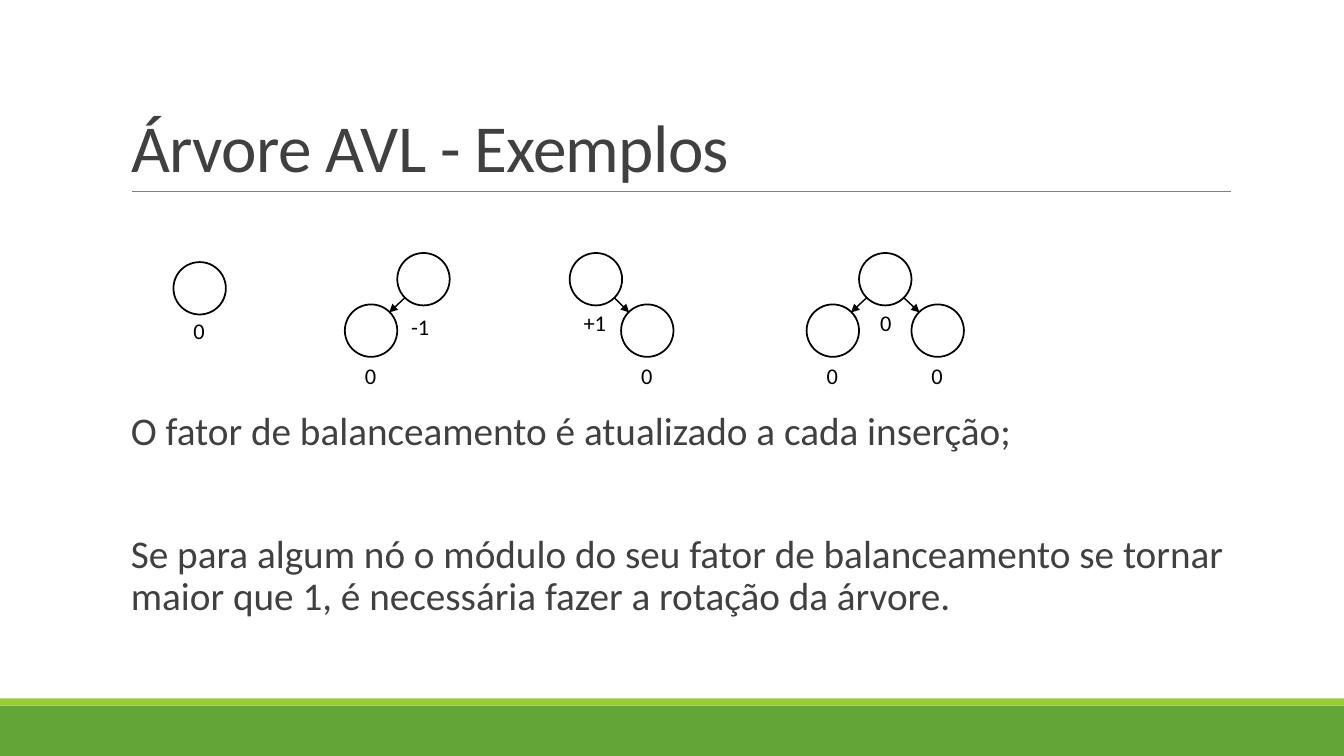
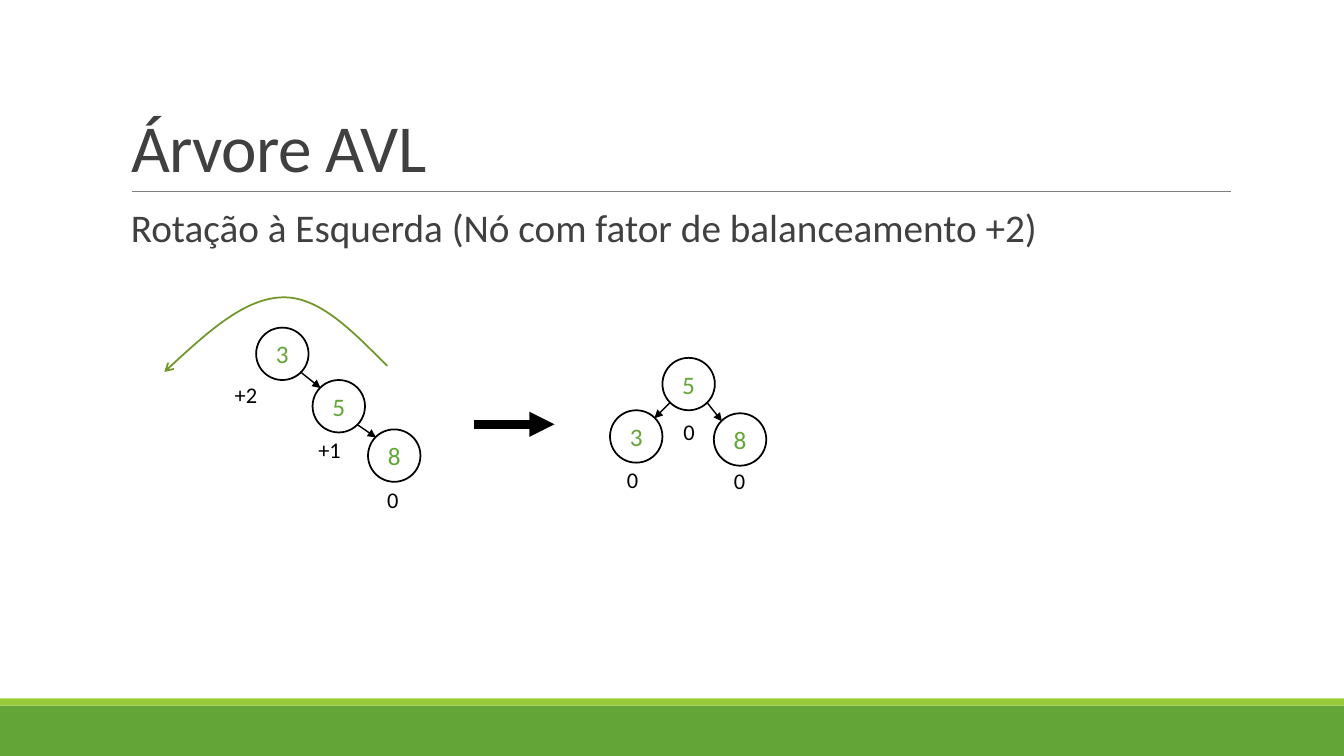
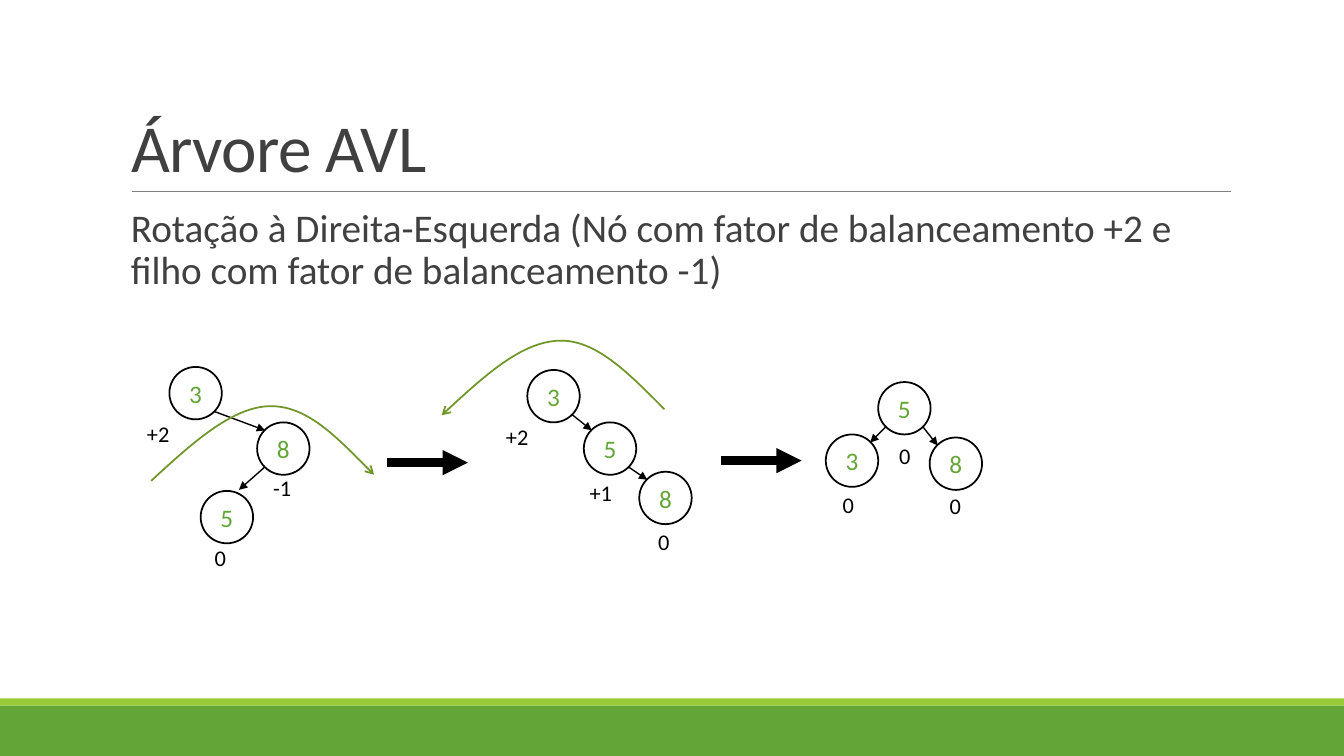
from dataclasses import dataclass

from lxml.etree import SubElement
from pptx import Presentation
from pptx.dml.color import RGBColor
from pptx.enum.shapes import MSO_CONNECTOR as Line, MSO_SHAPE as Preset
from pptx.enum.text import MSO_ANCHOR as Anchor, MSO_AUTO_SIZE as AutoSize, PP_ALIGN as Align
from pptx.oxml.ns import qn
from pptx.util import Inches, Pt


@dataclass(frozen=True)
class Theme:
    font: str = "Calibri"
    ink: str = "404040"
    black: str = "000000"
    rule: str = "808080"
    green: str = "63A537"
    lime: str = "99CB38"
    olive: str = "719629"
    title_size: int = 48
    body_size: int = 28
    key_size: int = 18
    factor_size: int = 16


@dataclass(frozen=True)
class Node:
    """Tree node: place from the root, parent's index, balance factor and its place."""
    x: float = 0
    y: float = 0
    parent: int = None
    key: str = ""
    factor: str = "0"
    factor_at: tuple = (0.1, 0.52)
    tip_shift: tuple = (0, 0)


THEME = Theme()
NODE = 0.52                    # circle diameter
NEAR, FAR = 0.08, 0.44         # where the diagonals cross the circle
FACTOR_WIDTH = {"0": 0.32, "-1": 0.4, "+1": 0.44, "+2": 0.44}

# Trees, each measured from its root
SINGLE = [Node(factor_at=(0.1, 0.5))]
LEFT_CHILD = [Node(factor="-1", factor_at=(0.04, 0.55)), Node(-0.52, 0.51, 0)]
RIGHT_CHILD = [Node(factor="+1", factor_at=(0.04, 0.51)), Node(0.51, 0.51, 0)]
BOTH_CHILDREN = [Node(factor_at=(0.11, 0.51)), Node(-0.52, 0.51, 0), Node(0.52, 0.51, 0)]
CHAIN = [
    Node(key="3", factor="+2", factor_at=(-0.31, 0.48)),
    Node(0.56, 0.52, 0, "5", "+1", (-0.04, 0.51)),
    Node(1.11, 1.01, 1, "8", factor_at=(0.09, 0.51)),
]
BALANCED = [
    Node(key="5", factor_at=(0.11, 0.55)),
    Node(-0.52, 0.52, 0, "3", factor_at=(0.07, 0.51)),
    Node(0.51, 0.55, 0, "8", factor_at=(0.1, 0.49)),
]
ZIGZAG = [
    Node(key="3", factor="+2", factor_at=(-0.32, 0.48)),
    Node(0.87, 0.55, 0, "8", "-1", (0.06, 0.46)),
    Node(0.31, 1.23, 1, "5", factor_at=(0.04, 0.48), tip_shift=(-0.06, -0.09)),
]

# Rotation curve in hundredths of an inch: start, then control points and end
CURVE_START = (0, 74)
CURVE_SEGMENTS = [
    ((40, 37), (80, 1), (117, 0)),
    ((154, -1), (187, 34), (221, 68)),
]
STEP_LENGTH = 0.8

SLIDES = [
    dict(
        title="Árvore AVL - Exemplos",
        body=["O fator de balanceamento é atualizado a cada inserção;",
              "Se para algum nó o módulo do seu fator de balanceamento se tornar "
              "maior que 1, é necessária fazer a rotação da árvore."],
        body_top=4.03,
        trees=[(1.72, 2.6, SINGLE), (3.94, 2.51, LEFT_CHILD),
               (5.65, 2.51, RIGHT_CHILD), (8.52, 2.51, BOTH_CHILDREN)],
        steps=[], curves=[],
    ),
    dict(
        title="Árvore AVL",
        body=["Rotação à Esquerda (Nó com fator de balanceamento +2)"],
        body_top=2.02,
        trees=[(2.54, 3.25, CHAIN), (6.57, 3.55, BALANCED)],
        steps=[(4.7, 4.21)],
        curves=[(1.63, 2.95, "headEnd")],
    ),
    dict(
        title="Árvore AVL",
        body=["Rotação à Direita-Esquerda (Nó com fator de balanceamento +2 e "
              "filho com fator de balanceamento -1)"],
        body_top=2.02,
        trees=[(1.68, 3.64, ZIGZAG), (5.23, 3.67, CHAIN), (8.71, 3.79, BALANCED)],
        steps=[(3.84, 4.59), (7.15, 4.57)],
        curves=[(1.5, 4.03, "tailEnd"), (4.38, 3.38, "headEnd")],
    ),
]


def stroke(shape, color, width, end=None, arrow="triangle"):
    """Plain line without shadow, with an arrowhead at one end if asked."""
    shape.line.color.rgb = RGBColor.from_string(color)
    shape.line.width = Pt(width)
    if end:
        SubElement(shape.line._get_or_add_ln(), qn(f"a:{end}"), type=arrow)
    SubElement(shape._element.spPr, qn("a:effectLst"))


def write(frame, paragraphs, size, color, align=Align.LEFT):
    """Fill a text frame, one paragraph per string."""
    frame.text = "\n".join(paragraphs)
    for paragraph in frame.paragraphs:
        paragraph.alignment = align
        for run in paragraph.runs:
            run.font.name = THEME.font
            run.font.size = Pt(size)
            run.font.color.rgb = RGBColor.from_string(color)


deck = Presentation()
deck.slide_width, deck.slide_height = Inches(13.33), Inches(7.5)
layout = deck.slide_layouts[5]

for number, content in enumerate(SLIDES):
    slide = deck.slides.add_slide(layout)
    shapes = slide.shapes

    # Bands and title rule: drawn once, then kept in the layout
    if number == 0:
        shared = []
        for top, height, color in [(7, 0.5, THEME.green), (6.93, 0.07, THEME.lime)]:
            band = shapes.add_shape(Preset.RECTANGLE, 0, Inches(top),
                                    deck.slide_width, Inches(height))
            band.fill.solid()
            band.fill.fore_color.rgb = RGBColor.from_string(color)
            band.line.fill.background()
            band.shadow.inherit = False
            shared.append(band)
        title_rule = shapes.add_connector(Line.STRAIGHT, Inches(1.31), Inches(1.9),
                                          Inches(12.21), Inches(1.9))
        stroke(title_rule, THEME.rule, 0.5)
        for part in shared + [title_rule]:
            layout.shapes._spTree.append(part._element)

    # Title
    title = shapes.title
    title.left, title.top = Inches(1.2), Inches(0.31)
    title.width, title.height = Inches(11), Inches(1.59)
    heading = title.text_frame
    write(heading, [content["title"]], THEME.title_size, THEME.ink)
    heading.auto_size = AutoSize.NONE
    heading.vertical_anchor = Anchor.BOTTOM
    heading.paragraphs[0].line_spacing = 0.85
    heading.paragraphs[0].runs[0].font._element.set("spc", "-50")

    # Body text
    body_top = content["body_top"]
    body = shapes.add_textbox(Inches(1.2), Inches(body_top),
                              Inches(11), Inches(6.42 - body_top)).text_frame
    body.word_wrap = True
    body.margin_right = 0
    write(body, content["body"], THEME.body_size, THEME.ink)
    for index, paragraph in enumerate(body.paragraphs):
        paragraph.line_spacing = 0.9
        if index:
            paragraph.space_before = Pt(58)

    # Trees: circles, balance factors and edges
    for root_x, root_y, tree in content["trees"]:
        for node in tree:
            x, y = root_x + node.x, root_y + node.y
            circle = shapes.add_shape(Preset.OVAL, Inches(x), Inches(y),
                                      Inches(NODE), Inches(NODE))
            circle.fill.background()
            stroke(circle, THEME.black, 1.25)
            if node.key:
                write(circle.text_frame, [node.key], THEME.key_size, THEME.green, Align.CENTER)
                circle.text_frame.vertical_anchor = Anchor.MIDDLE

            factor_x, factor_y = node.factor_at
            factor = shapes.add_textbox(Inches(x + factor_x), Inches(y + factor_y),
                                        Inches(FACTOR_WIDTH[node.factor]), Inches(0.37))
            factor.text_frame.word_wrap = False
            write(factor.text_frame, [node.factor], THEME.factor_size, THEME.black)

            if node.parent is not None:
                parent = tree[node.parent]
                leave, arrive = (FAR, NEAR) if node.x > parent.x else (NEAR, FAR)
                shift_x, shift_y = node.tip_shift
                edge = shapes.add_connector(
                    Line.STRAIGHT,
                    Inches(root_x + parent.x + leave), Inches(root_y + parent.y + FAR),
                    Inches(x + arrive + shift_x), Inches(y + NEAR + shift_y))
                stroke(edge, THEME.black, 1, "tailEnd")

    # Thick arrows between the steps
    for x, y in content["steps"]:
        step = shapes.add_connector(Line.STRAIGHT, Inches(x), Inches(y),
                                    Inches(x + STEP_LENGTH), Inches(y))
        stroke(step, THEME.black, 6, "tailEnd")

    # Rotation curves: straight segments turned into Bézier ones
    for x, y, end in content["curves"]:
        builder = shapes.build_freeform(*CURVE_START, scale=Inches(0.01))
        builder.add_line_segments([segment[-1] for segment in CURVE_SEGMENTS], close=False)
        rotation = builder.convert_to_shape(Inches(x), Inches(y))
        outline = next(rotation._element.iter(qn("a:path")))
        for straight in outline.findall(qn("a:lnTo")):
            outline.remove(straight)
        for segment in CURVE_SEGMENTS:
            bezier = SubElement(outline, qn("a:cubicBezTo"))
            for point_x, point_y in segment:
                SubElement(bezier, qn("a:pt"), x=str(point_x), y=str(point_y))
        rotation.fill.background()
        stroke(rotation, THEME.olive, 1.25, end, "arrow")

deck.save("out.pptx")
